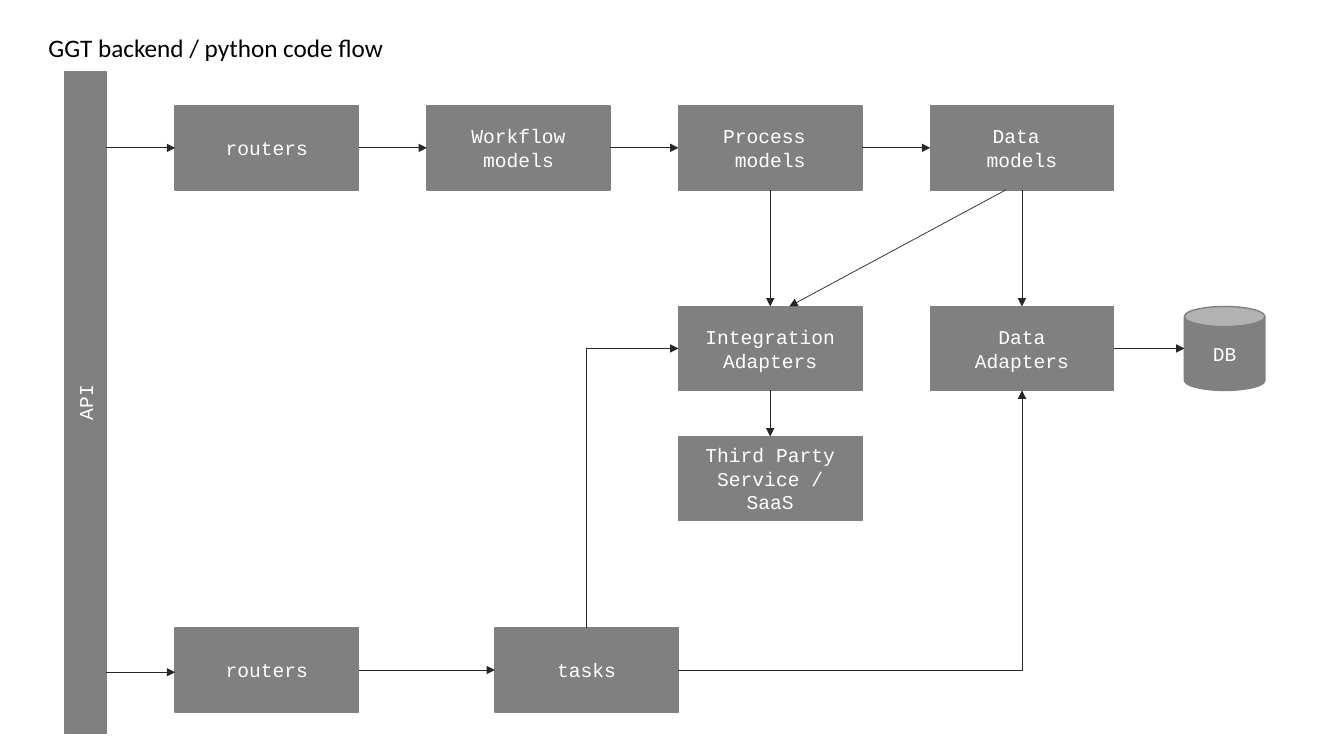
"""Build the backend code flow slide."""
from lxml import etree
from pptx import Presentation
from pptx.dml.color import RGBColor
from pptx.enum.shapes import MSO_CONNECTOR, MSO_SHAPE
from pptx.enum.text import MSO_ANCHOR, MSO_AUTO_SIZE, PP_ALIGN
from pptx.oxml.ns import qn
from pptx.util import Pt

RECT, CAN = MSO_SHAPE.RECTANGLE, MSO_SHAPE.CAN
STRAIGHT, ELBOW = MSO_CONNECTOR.STRAIGHT, MSO_CONNECTOR.ELBOW
LEFT, CENTER = PP_ALIGN.LEFT, PP_ALIGN.CENTER
MIDDLE = MSO_ANCHOR.MIDDLE
FIT_SHAPE = MSO_AUTO_SIZE.SHAPE_TO_FIT_TEXT

COLORS = {"box": "808080", "arrow": "262626", "light": "FFFFFF", "dark": "000000"}


def write(sp, text, font="Courier New", size=14, color="light", align=CENTER, wrap=True):
    tf = sp.text_frame
    tf.text = text
    tf.word_wrap = wrap
    tf.vertical_anchor = MIDDLE
    for p in tf.paragraphs:
        p.alignment = align
        for r in p.runs:
            r.font.name = font
            r.font.size = Pt(size)
            r.font.color.rgb = RGBColor.from_string(COLORS[color])


prs = Presentation()
prs.slide_width, prs.slide_height = Pt(960), Pt(540)
s = prs.slides.add_slide(prs.slide_layouts[5])

title = s.shapes.title
title.left, title.top, title.width, title.height = Pt(27.4), Pt(19.4), Pt(257), Pt(29)
write(title, "GGT backend / python code flow", font="Calibri", size=18,
      color="dark", align=LEFT, wrap=False)
title.text_frame.auto_size = FIT_SHAPE

BOX_W, BOX_H = 131, 60
cols = [125.1 + 179.8 * i for i in range(4)]
models_y, adapters_y, service_y, tasks_y = 75.6, 218.9, 311.8, 448.6
tasks_x, db_x = 353.5, 846
api_w, api_h = 473, 29.5
api_mid_x, api_mid_y = 60.9, 287.6

boxes = [
    ("routers", RECT, cols[0], models_y, BOX_W, BOX_H, 0),
    ("Workflow models", RECT, cols[1], models_y, BOX_W, BOX_H, 0),
    ("Process \nmodels", RECT, cols[2], models_y, BOX_W, BOX_H, 0),
    ("Data \nmodels", RECT, cols[3], models_y, BOX_W, BOX_H, 0),
    ("routers", RECT, cols[0], tasks_y, BOX_W, BOX_H, 0),
    ("tasks", RECT, tasks_x, tasks_y, BOX_W, BOX_H, 0),
    ("Integration\nAdapters", RECT, cols[2], adapters_y, BOX_W, BOX_H, 0),
    ("Data\nAdapters", RECT, cols[3], adapters_y, BOX_W, BOX_H, 0),
    ("DB", CAN, db_x, adapters_y, 57.6, BOX_H, 0),
    ("Third Party Service / SaaS", RECT, cols[2], service_y, BOX_W, BOX_H, 0),
    ("API", RECT, api_mid_x - api_w / 2, api_mid_y - api_h / 2, api_w, api_h, 270),
]
for text, kind, x, y, w, h, angle in boxes:
    sp = s.shapes.add_shape(kind, Pt(x), Pt(y), Pt(w), Pt(h))
    sp.rotation = angle
    sp.shadow.inherit = False
    sp.fill.solid()
    sp.fill.fore_color.rgb = RGBColor.from_string(COLORS["box"])
    sp.line.color.rgb = RGBColor.from_string(COLORS["box"])
    sp.line.width = Pt(1)
    write(sp, text)

api_right = api_mid_x + api_h / 2
models_mid, adapters_mid, tasks_mid = (y + BOX_H / 2 for y in (models_y, adapters_y, tasks_y))
process_mid, data_mid = (x + BOX_W / 2 for x in cols[2:])
tasks_mid_x = tasks_x + BOX_W / 2
models_bottom, adapters_bottom = models_y + BOX_H, adapters_y + BOX_H

arrows = [(cols[i] + BOX_W, models_mid, cols[i + 1], models_mid) for i in range(3)]
arrows += [
    (api_right, models_mid, cols[0], models_mid),
    (api_right, 480.2, cols[0], 480.2),
    (cols[0] + BOX_W, tasks_mid, tasks_x, tasks_mid),
    (process_mid, models_bottom, process_mid, adapters_y),
    (data_mid, models_bottom, data_mid, adapters_y),
    (718.6, models_bottom, 563.8, adapters_y),
    (cols[3] + BOX_W, adapters_mid, db_x, adapters_mid),
    (process_mid, adapters_bottom, process_mid, service_y),
]
links = [(STRAIGHT, *ends, 0) for ends in arrows]

rise, run = tasks_y - adapters_mid, cols[2] - tasks_mid_x
mid_x, mid_y = tasks_mid_x + run / 2, adapters_mid + rise / 2
links += [
    (ELBOW, mid_x + rise / 2, mid_y + run / 2, mid_x - rise / 2, mid_y - run / 2, 90),
    (ELBOW, tasks_x + BOX_W, tasks_mid, data_mid, adapters_bottom, 0),
]
for kind, x1, y1, x2, y2, angle in links:
    cn = s.shapes.add_connector(kind, Pt(x1), Pt(y1), Pt(x2), Pt(y2))
    cn.line.color.rgb = RGBColor.from_string(COLORS["arrow"])
    cn.line.width = Pt(0.5)
    etree.SubElement(cn.line._get_or_add_ln(), qn("a:tailEnd"), type="triangle")
    spPr = cn._element.spPr
    etree.SubElement(spPr, qn("a:effectLst"))
    if kind == ELBOW:
        spPr.find(qn("a:prstGeom")).set("prst", "bentConnector2")
        spPr.find(qn("a:xfrm")).set("rot", str(angle * 60000))

prs.save("out.pptx")
